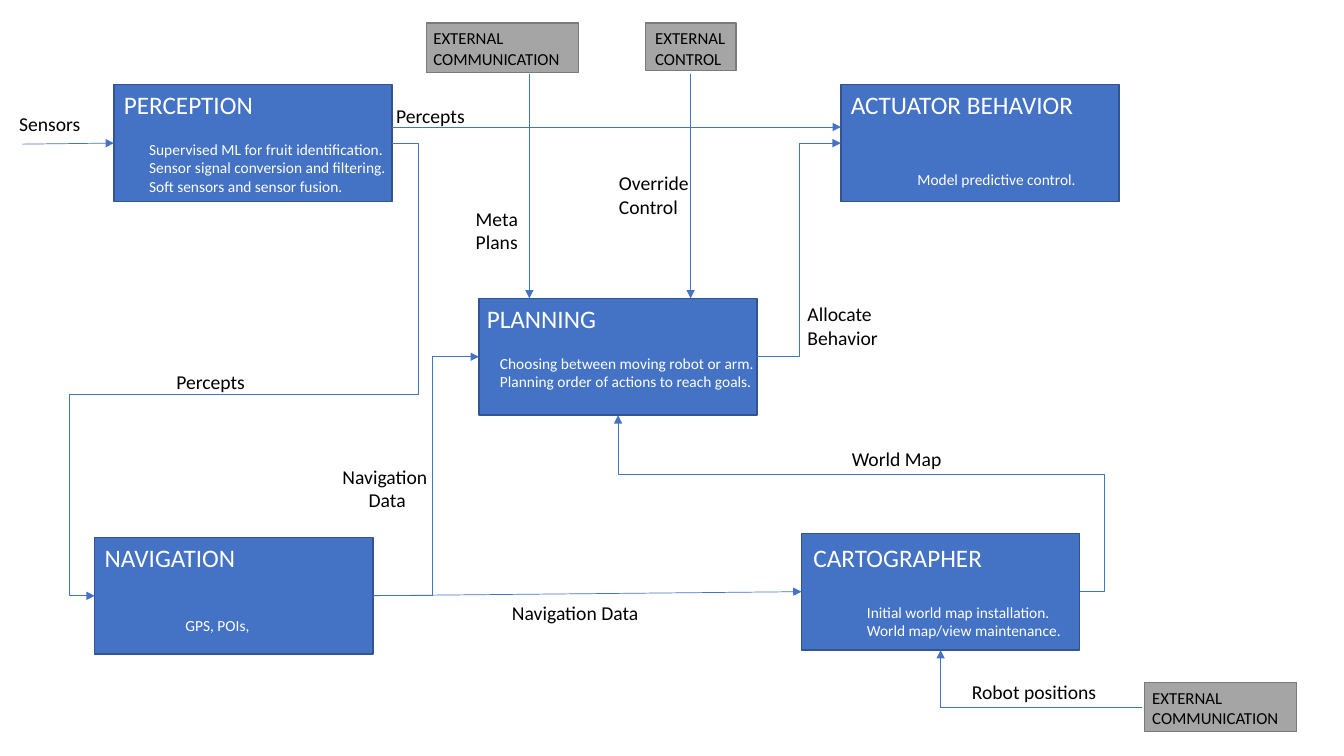
from lxml import etree
from pptx import Presentation
from pptx.dml.color import RGBColor
from pptx.enum.shapes import MSO_CONNECTOR, MSO_SHAPE
from pptx.enum.text import MSO_AUTO_SIZE, PP_ALIGN
from pptx.oxml.ns import qn
from pptx.util import Pt

PX = 9144
RECTANGLE = MSO_SHAPE.RECTANGLE
STRAIGHT, ELBOW = MSO_CONNECTOR.STRAIGHT, MSO_CONNECTOR.ELBOW
LEFT_ALIGN, CENTER = PP_ALIGN.LEFT, PP_ALIGN.CENTER
GROW = MSO_AUTO_SIZE.SHAPE_TO_FIT_TEXT
TOP, LEFT, BOTTOM, RIGHT = range(4)

BLUE = RGBColor(0x44, 0x72, 0xC4)
DARK_BLUE = RGBColor(0x32, 0x54, 0x91)
GRAY = RGBColor(0xA5, 0xA5, 0xA5)
DARK_GRAY = RGBColor(0x7A, 0x7A, 0x7A)
WHITE = RGBColor(0xFF, 0xFF, 0xFF)
BLACK = RGBColor(0x00, 0x00, 0x00)

prs = Presentation()
prs.slide_width, prs.slide_height = 1333 * PX, 750 * PX
slide = prs.slides.add_slide(prs.slide_layouts[6])
shapes = slide.shapes


def add_block(x, y, w, h, fill, outline):
    block = shapes.add_shape(RECTANGLE, x * PX, y * PX, w * PX, h * PX)
    block.shadow.inherit = False
    block.fill.solid()
    block.fill.fore_color.rgb = fill
    block.line.color.rgb = outline
    block.line.width = Pt(1)
    return block


def add_text(text, x, y, w, h, size, color, wrap=True, align=LEFT_ALIGN):
    box = shapes.add_textbox(x * PX, y * PX, w * PX, h * PX)
    frame = box.text_frame
    frame.text = text
    frame.word_wrap = wrap
    frame.auto_size = GROW
    for paragraph in frame.paragraphs:
        paragraph.alignment = align
        paragraph.font.name = "Calibri"
        paragraph.font.size = Pt(size)
        paragraph.font.color.rgb = color
    return box


modules = {}
for title, x, y, title_x, title_y in [
    ("PERCEPTION", 113, 84, 113, 84),
    ("NAVIGATION", 94, 533, 94, 533),
    ("PLANNING", 475, 296, 473, 296),
    ("ACTUATOR BEHAVIOR", 834, 84, 834, 84),
    ("CARTOGRAPHER", 795, 529, 797, 533),
]:
    modules[title] = add_block(x, y, 276, 116, BLUE, DARK_BLUE)
    add_text(title, title_x, title_y, 313, 40, 18, WHITE)

externals = []
for text, x, y, w, h, text_x, text_w in [
    ("EXTERNAL\nCOMMUNICATION", 423, 23, 151, 49, 420, 210),
    ("EXTERNAL\nCONTROL", 640, 23, 90, 47, 640, 90),
    ("EXTERNAL\nCOMMUNICATION", 1135, 677, 151, 49, 1133, 210),
]:
    add_block(x, y, w, h, GRAY, DARK_GRAY)
    externals.append(add_text(text, text_x, y, text_w, 50, 12, BLACK))

perception, navigation, planning, actuator, cartographer = modules.values()
meta_source, override_source, position_source = externals

for start, end, source, target, preset, adjustments in [
    ((22, 143), (113, 143), None, (perception, LEFT), None, []),
    ((389, 143), (94, 591), (perception, RIGHT), (navigation, LEFT),
     "bentConnector5", [-8800, 55400, 108500]),
    ((371, 591), (795, 588), (navigation, RIGHT), (cartographer, LEFT), None, []),
    ((371, 591), (475, 354), (navigation, RIGHT), (planning, LEFT),
     "bentConnector3", [56300]),
    ((1071, 588), (613, 413), (cartographer, RIGHT), (planning, BOTTOM),
     "bentConnector4", [-5400, 66600]),
    ((751, 354), (834, 143), (planning, RIGHT), (actuator, LEFT),
     "bentConnector3", [50000]),
    ((389, 126), (834, 126), None, None, None, []),
    ((525, 74), (525, 296), (meta_source, BOTTOM), None, None, []),
    ((685, 74), (685, 296), (override_source, BOTTOM), None, None, []),
    ((1133, 702), (933, 646), (position_source, LEFT), (cartographer, BOTTOM),
     "bentConnector2", []),
]:
    flow = shapes.add_connector(
        ELBOW if preset else STRAIGHT, *(v * PX for v in start + end))
    if source:
        flow.begin_connect(*source)
    if target:
        flow.end_connect(*target)
    flow.line.color.rgb = BLUE
    flow.line.width = Pt(0.5)
    properties = flow._element.spPr
    etree.SubElement(properties.find(qn("a:ln")), qn("a:tailEnd"), type="triangle")
    etree.SubElement(properties, qn("a:effectLst"))
    if preset:
        geometry = properties.find(qn("a:prstGeom"))
        geometry.set("prst", preset)
        guides = geometry.find(qn("a:avLst"))
        for number, value in enumerate(adjustments, 1):
            etree.SubElement(guides, qn("a:gd"), name=f"adj{number}", fmla=f"val {value}")

for text, x, y, w, h, wrap, align in [
    ("Sensors", 9, 106, 82, 34, False, LEFT_ALIGN),
    ("Percepts", 165, 362, 89, 34, False, LEFT_ALIGN),
    ("Navigation Data", 498, 591, 147, 34, False, LEFT_ALIGN),
    ("Navigation \vData", 329, 456, 110, 57, False, CENTER),
    ("World Map", 835, 438, 110, 34, False, LEFT_ALIGN),
    ("Allocate \vBehavior", 791, 295, 91, 57, False, LEFT_ALIGN),
    ("Percepts", 383, 98, 89, 34, False, LEFT_ALIGN),
    ("Meta\vPlans", 462, 200, 63, 57, False, LEFT_ALIGN),
    ("Override Control", 604, 165, 110, 57, True, LEFT_ALIGN),
    ("Robot positions", 954, 670, 145, 34, False, LEFT_ALIGN),
]:
    add_text(text, x, y, w, h, 14, BLACK, wrap, align)

for text, x, y, h in [
    ("Supervised ML for fruit identification.\n"
     "Sensor signal conversion and filtering.\n"
     "Soft sensors and sensor fusion.", 138, 134, 66),
    ("GPS, POIs,", 174, 606, 29),
    ("Initial world map installation.\nWorld map/view maintenance.", 850, 593, 47),
    ("Model predictive control.", 900, 164, 29),
    ("Choosing between moving robot or arm.\n"
     "Planning order of actions to reach goals.", 486, 346, 47),
]:
    add_text(text, x, y, 282, h, 11, WHITE)

prs.save("out.pptx")
